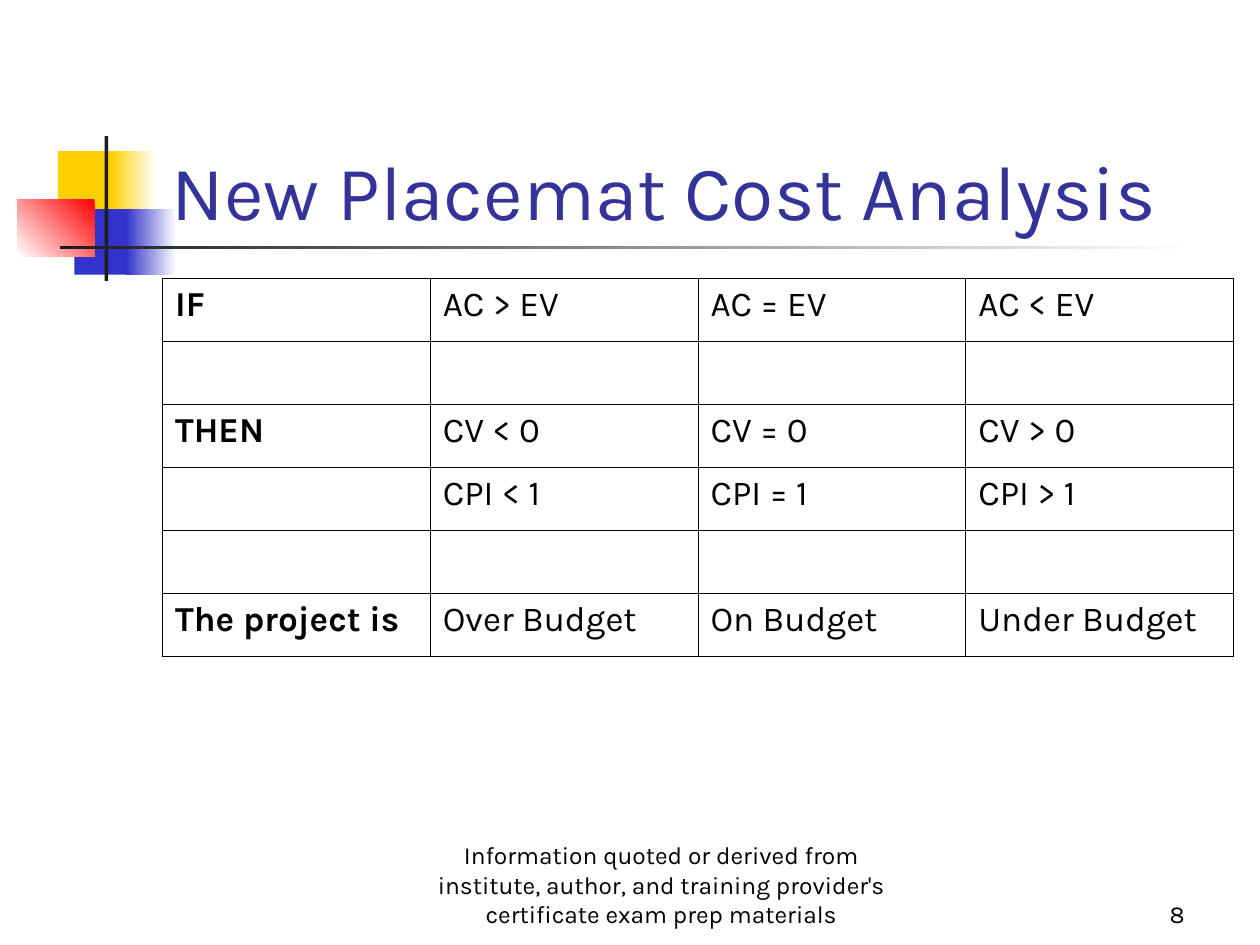
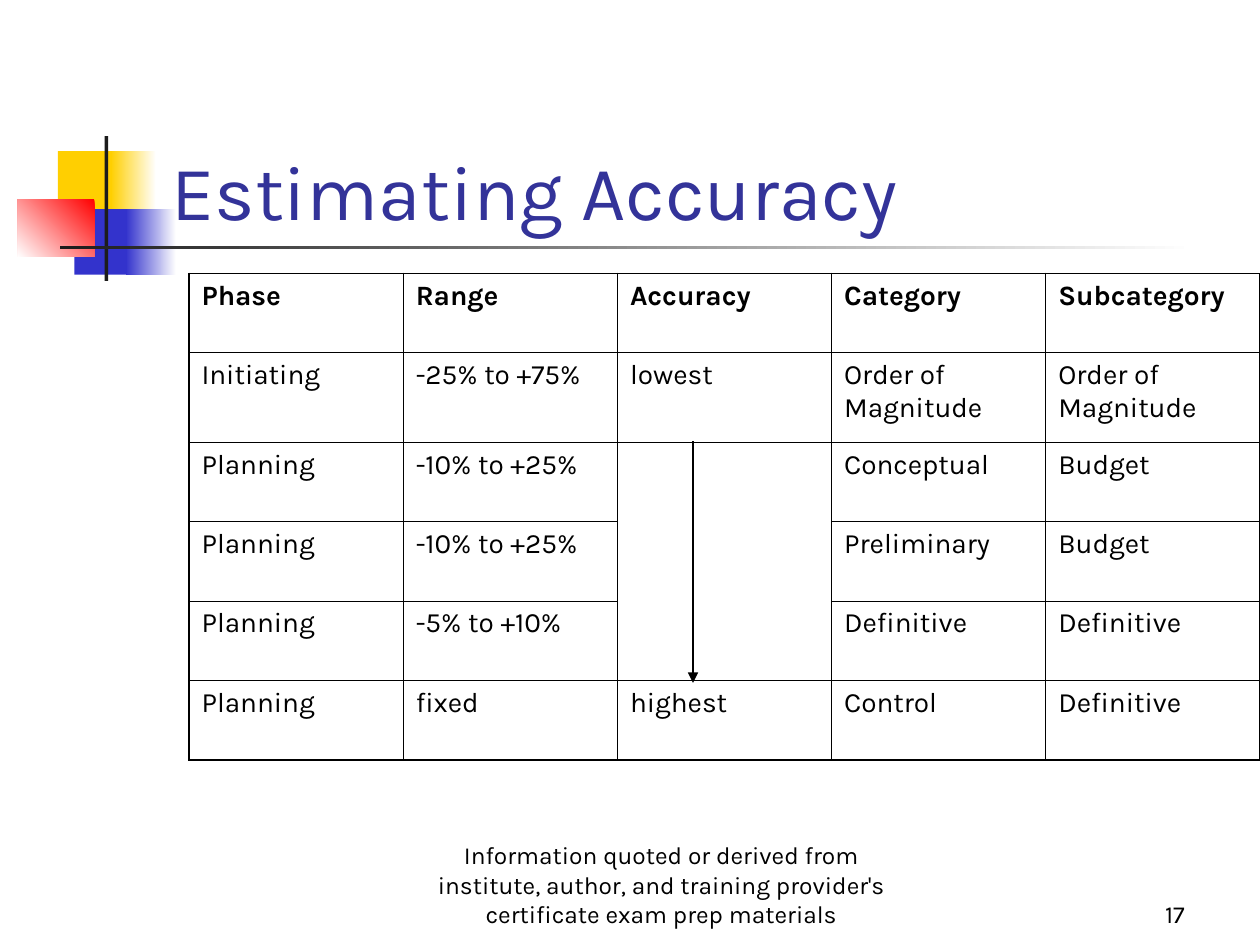
from lxml import etree
from pptx import Presentation
from pptx.dml.color import RGBColor
from pptx.enum.shapes import MSO_CONNECTOR, MSO_SHAPE
from pptx.enum.text import MSO_ANCHOR, MSO_AUTO_SIZE, PP_ALIGN
from pptx.oxml.ns import qn
from pptx.util import Inches, Pt

RECTANGLE = MSO_SHAPE.RECTANGLE
STRAIGHT = MSO_CONNECTOR.STRAIGHT
BOTTOM = MSO_ANCHOR.BOTTOM
LEFT, CENTER, RIGHT = PP_ALIGN.LEFT, PP_ALIGN.CENTER, PP_ALIGN.RIGHT

WHITE = RGBColor(0xFF, 0xFF, 0xFF)
BLACK = RGBColor(0x00, 0x00, 0x00)
INK = RGBColor(0x1C, 0x1C, 0x1C)
YELLOW = RGBColor(0xFF, 0xCF, 0x01)
BLUE = RGBColor(0x33, 0x33, 0xCC)
RED = RGBColor(0xFF, 0x00, 0x00)
TITLE_BLUE = RGBColor(0x33, 0x33, 0x99)

FONT = "Karla"
TITLE_ONLY = 5
OUTER_LINE, INNER_LINE = Pt(1.08), Pt(0.45)
SOURCE_NOTE = ("Information quoted or derived from institute, author, and training "
               "provider's certificate exam prep materials")

# Left, top, width, height, colours (two make a gradient), gradient angle
EMBLEM = [
    (0.32, 0.12, 0.48, 0.52, [YELLOW], 0),
    (0.74, 0.12, 0.36, 0.52, [WHITE, YELLOW], 180),
    (0.45, 0.58, 0.46, 0.52, [BLUE], 0),
    (0.86, 0.58, 0.40, 0.52, [WHITE, BLUE], 180),
    (0.00, 0.50, 0.61, 0.46, [RED, WHITE], 225),
    (0.69, 0.00, 0.03, 1.15, [INK], 0),
    (0.34, 0.87, 9.00, 0.03, [WHITE, INK], 180),
]

COST_ROWS = [
    ["IF", "AC > EV", "AC = EV", "AC < EV"],
    ["", "", "", ""],
    ["THEN", "CV < 0", "CV = 0", "CV > 0"],
    ["", "CPI < 1", "CPI = 1", "CPI > 1"],
    ["", "", "", ""],
    ["The project is", "Over Budget", "On Budget", "Under Budget"],
]
ACCURACY_ROWS = [
    ["Phase", "Range", "Accuracy", "Category", "Subcategory"],
    ["Initiating", "-25% to +75%", "lowest", "Order of Magnitude", "Order of Magnitude"],
    ["Planning", "-10% to +25%", "", "Conceptual", "Budget"],
    ["Planning", "-10% to +25%", "", "Preliminary", "Budget"],
    ["Planning", "-5% to +10%", "", "Definitive", "Definitive"],
    ["Planning", "fixed", "highest", "Control", "Definitive"],
]


def style_text(frame, size, color, align=LEFT, bold=False, space_before=0):
    for para in frame.paragraphs:
        para.alignment = align
        para.space_before = Pt(space_before)
        para.font.size = Pt(size)
        for span in para.runs:
            span.font.name = FONT
            span.font.size = Pt(size)
            span.font.bold = bold
            span.font.color.rgb = color


def add_emblem(page, left, top):
    for x, y, width, height, colors, angle in EMBLEM:
        box = page.shapes.add_shape(RECTANGLE, Inches(left + x), Inches(top + y),
                                    Inches(width), Inches(height))
        box.shadow.inherit = False
        box.line.fill.background()
        if len(colors) == 1:
            box.fill.solid()
            box.fill.fore_color.rgb = colors[0]
        else:
            box.fill.gradient()
            box.fill.gradient_angle = angle
            for stop, color in zip(box.fill.gradient_stops, colors):
                stop.color.rgb = color


def set_title(page, text, left, top, width, height):
    title = page.shapes.title
    title.left, title.top = Inches(left), Inches(top)
    title.width, title.height = Inches(width), Inches(height)
    frame = title.text_frame
    frame.text = text
    frame.auto_size = MSO_AUTO_SIZE.NONE
    frame.vertical_anchor = BOTTOM
    style_text(frame, 44, TITLE_BLUE)
    page.shapes.element.append(title.element)  # in front of the emblem


def add_footer_text(page, text, left, width, align):
    box = page.shapes.add_textbox(Inches(left), Inches(6.92), Inches(width), Inches(0.5))
    frame = box.text_frame
    frame.text = text
    frame.word_wrap = True
    frame.vertical_anchor = BOTTOM
    style_text(frame, 14, BLACK, align)


def set_borders(cell, widths):
    """Draw the cell's sides; widths maps L, R, T and B to line widths."""
    properties = cell._tc.get_or_add_tcPr()
    for side, width in widths.items():
        line = etree.SubElement(properties, qn(f"a:ln{side}"), w=str(width))
        fill = etree.SubElement(line, qn("a:solidFill"))
        etree.SubElement(fill, qn("a:srgbClr"), val=str(BLACK))


def add_grid(page, rows, left, top, width, heights, size, space_before, is_bold, merge=None):
    """Add a ruled table; merge gives the first and last cell of a joined block."""
    last_row, last_column = len(rows) - 1, len(rows[0]) - 1
    table = page.shapes.add_table(len(rows), len(rows[0]), Inches(left), Inches(top),
                                  Inches(width), Inches(sum(heights))).table
    table.first_row = table.horz_banding = False
    for row, height in zip(table.rows, heights):
        row.height = Inches(height)
    if merge:
        first, last = merge
        table.cell(*first).merge(table.cell(*last))
    for r, texts in enumerate(rows):
        for c, text in enumerate(texts):
            cell = table.cell(r, c)
            if not cell.is_spanned:
                outer = {"L": c == 0, "R": c == last_column, "T": r == 0, "B": r == last_row}
                set_borders(cell, {side: OUTER_LINE if edge else INNER_LINE
                                   for side, edge in outer.items()})
            cell.fill.background()
            cell.text_frame.text = text
            style_text(cell.text_frame, size, BLACK, bold=is_bold(r, c),
                       space_before=space_before)


def add_down_arrow(page, x, top, bottom):
    arrow = page.shapes.add_connector(STRAIGHT, Inches(x), Inches(top), Inches(x), Inches(bottom))
    arrow.line.color.rgb = BLACK
    arrow.line.width = Pt(0.75)
    etree.SubElement(arrow.line._get_or_add_ln(), qn("a:tailEnd"), type="triangle")
    etree.SubElement(arrow.element.spPr, qn("a:effectLst"))


def add_page(deck, title, number):
    page = deck.slides.add_slide(deck.slide_layouts[TITLE_ONLY])
    add_emblem(page, 0.14, 1.08)
    set_title(page, title, 1.26, 0.67, 8.52, 1.25)
    add_footer_text(page, SOURCE_NOTE, 3.25, 4, CENTER)
    add_footer_text(page, str(number), 7.42, 2.08, RIGHT)
    return page


def add_cost_page(deck):
    page = add_page(deck, "New Placemat Cost Analysis", 8)
    add_grid(page, COST_ROWS, 1.29, 2.21, 8.5, [0.5] * 6, 20, 5,
             is_bold=lambda row, column: column == 0)


def add_accuracy_page(deck):
    page = add_page(deck, "Estimating Accuracy", 17)
    add_grid(page, ACCURACY_ROWS, 1.5, 2.17, 8.5, [0.63, 0.71] + [0.63] * 4, 16, 4,
             is_bold=lambda row, column: row == 0, merge=((2, 2), (4, 2)))
    add_down_arrow(page, 5.5, 3.5, 5.42)


def main():
    deck = Presentation()
    deck.slide_width, deck.slide_height = Inches(10), Inches(7.5)
    add_cost_page(deck)
    add_accuracy_page(deck)
    deck.save("out.pptx")


if __name__ == "__main__":
    main()
